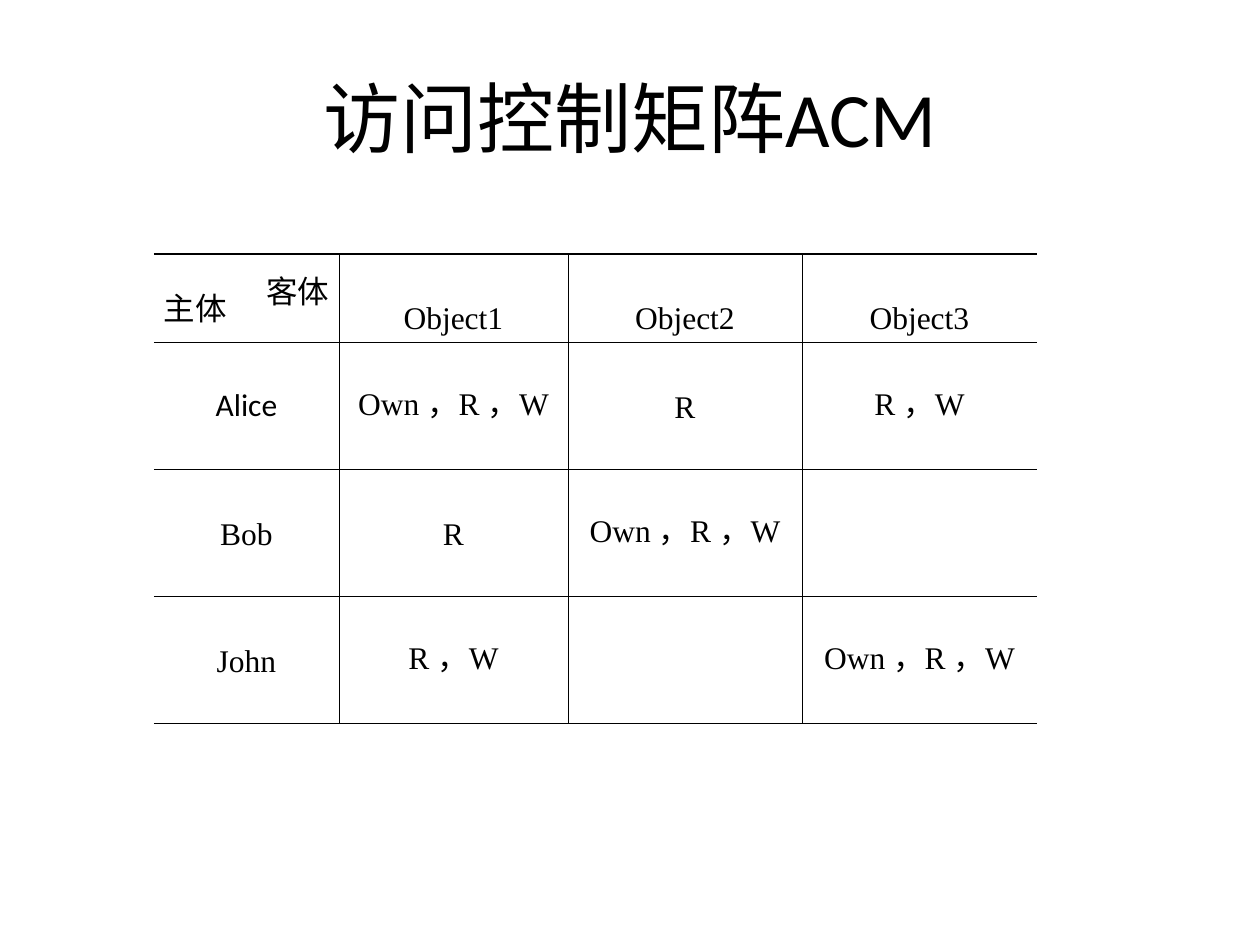
from lxml.etree import SubElement
from pptx import Presentation
from pptx.dml.color import RGBColor
from pptx.enum.text import MSO_ANCHOR as ANCHOR, PP_ALIGN as ALIGN
from pptx.oxml.ns import qn
from pptx.util import Emu, Pt

BLACK = RGBColor(0x00, 0x00, 0x00)
SANS, SERIF = "Calibri", "Times New Roman"
THIN, THICK = 0.45, 0.75
MARGIN_X, MARGIN_Y = 10, 6
COLUMNS = [185, 229, 234, 235]
ROWS = [77, 116, 116, 116]
MATRIX = [
    ["", "Object1", "Object2", "Object3"],
    ["Alice", "Own ，R ，W", "R", "R ，W"],
    ["Bob", "R", "Own ，R ，W", ""],
    ["John", "R ，W", "", "Own ，R ，W"],
]


def px(n):
    return Emu(round(n * 914400 / 126))


def write(p, text, size=18, font=SERIF, align=ALIGN.CENTER, spacing=None):
    p.alignment = align
    if spacing:
        p.line_spacing = Pt(spacing)
    r = p.add_run()
    r.text = text
    r.font.size = Pt(size)
    r.font.name = font
    r.font.color.rgb = BLACK


def set_borders(cell, **widths):
    """Draw the sides L, R, T and B at the given point widths; 0 hides a side."""
    tc_pr = cell._tc.get_or_add_tcPr()
    for side in "LRTB":
        width = widths[side]
        ln = SubElement(tc_pr, qn(f"a:ln{side}"), w=str(Pt(width)))
        if width:
            fill = SubElement(ln, qn("a:solidFill"))
            SubElement(fill, qn("a:srgbClr"), val=str(BLACK))
        else:
            SubElement(ln, qn("a:noFill"))


def add_title(slide, x, y, w, h):
    sp = slide.shapes.title
    sp.left, sp.top, sp.width, sp.height = px(x), px(y), px(w), px(h)
    tf = sp.text_frame
    tf.vertical_anchor = ANCHOR.MIDDLE
    write(tf.paragraphs[0], "访问控制矩阵ACM", size=44, font=SANS)


def fill_corner(cell):
    cell.margin_top = px(MARGIN_Y + 35)
    tf = cell.text_frame
    write(tf.paragraphs[0], "客体", align=ALIGN.RIGHT, spacing=10)
    write(tf.add_paragraph(), "主体", align=ALIGN.LEFT, spacing=10)


def fill_entry(cell, text):
    cell.margin_top = px(MARGIN_Y + 38)
    font = SANS if text == "Alice" else SERIF
    write(cell.text_frame.paragraphs[0], text, font=font, spacing=22)


def add_matrix(slide, x, y):
    frame = slide.shapes.add_table(len(ROWS), len(COLUMNS), px(x), px(y),
                                   px(sum(COLUMNS)), px(sum(ROWS)))
    table = frame.table
    table.first_row = table.horz_banding = False
    for column, width in zip(table.columns, COLUMNS):
        column.width = px(width)
    for row, height in zip(table.rows, ROWS):
        row.height = px(height)

    last_row, last_col = len(ROWS) - 1, len(COLUMNS) - 1
    for i, texts in enumerate(MATRIX):
        for j, text in enumerate(texts):
            cell = table.cell(i, j)
            set_borders(cell, L=THIN if j else 0, R=THIN if j < last_col else 0,
                        T=THIN if i else THICK, B=THIN if i < last_row else THICK)
            cell.fill.background()
            cell.margin_left = cell.margin_right = px(MARGIN_X)
            cell.margin_top = cell.margin_bottom = px(MARGIN_Y)
            if i == j == 0:
                fill_corner(cell)
            elif text:
                fill_entry(cell, text)


def main():
    prs = Presentation()
    prs.slide_width, prs.slide_height = px(1260), px(945)
    slide = prs.slides.add_slide(prs.slide_layouts[5])
    add_title(slide, 63, 38, 1134, 158)
    add_matrix(slide, 154, 254)
    prs.save("out.pptx")


if __name__ == "__main__":
    main()
